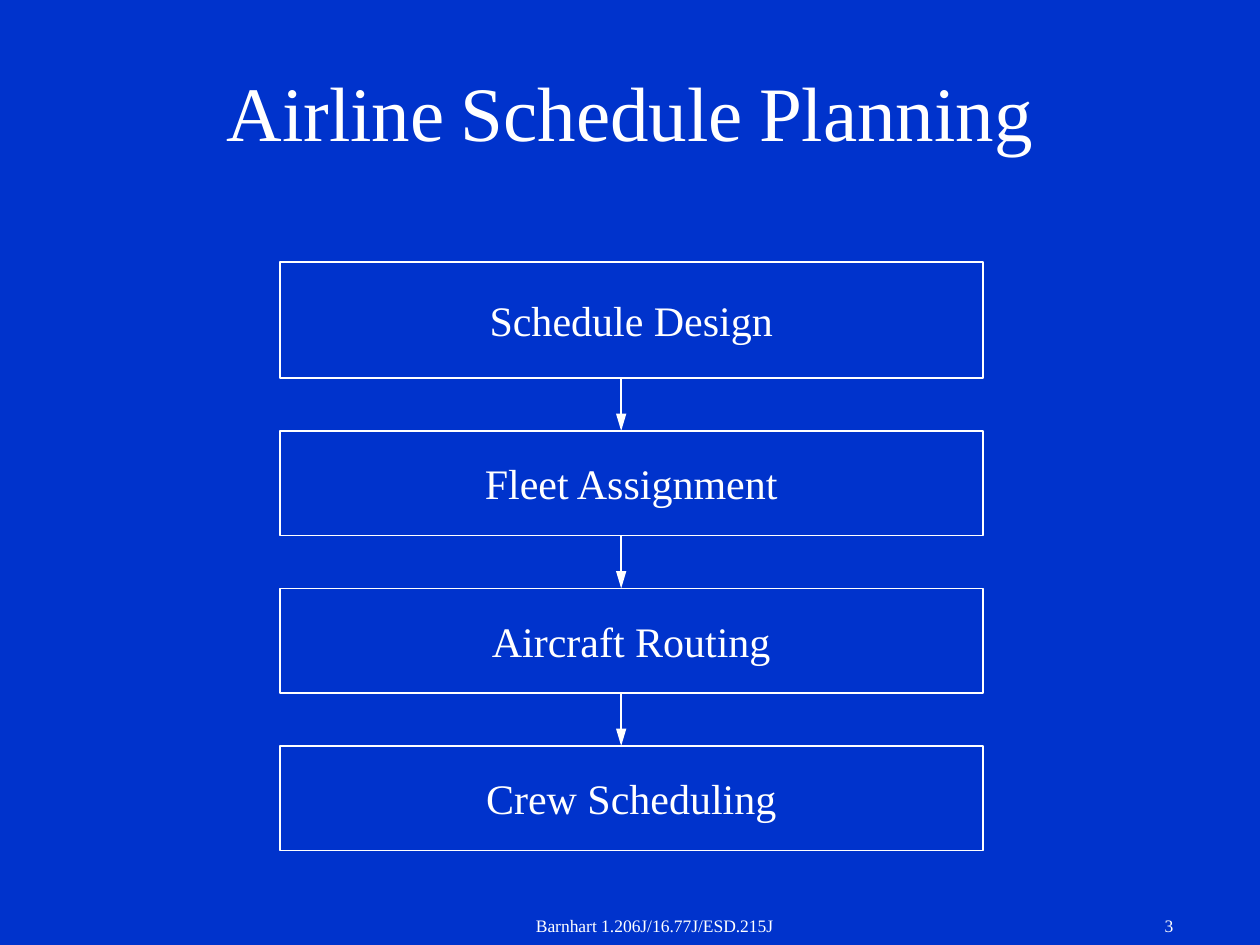
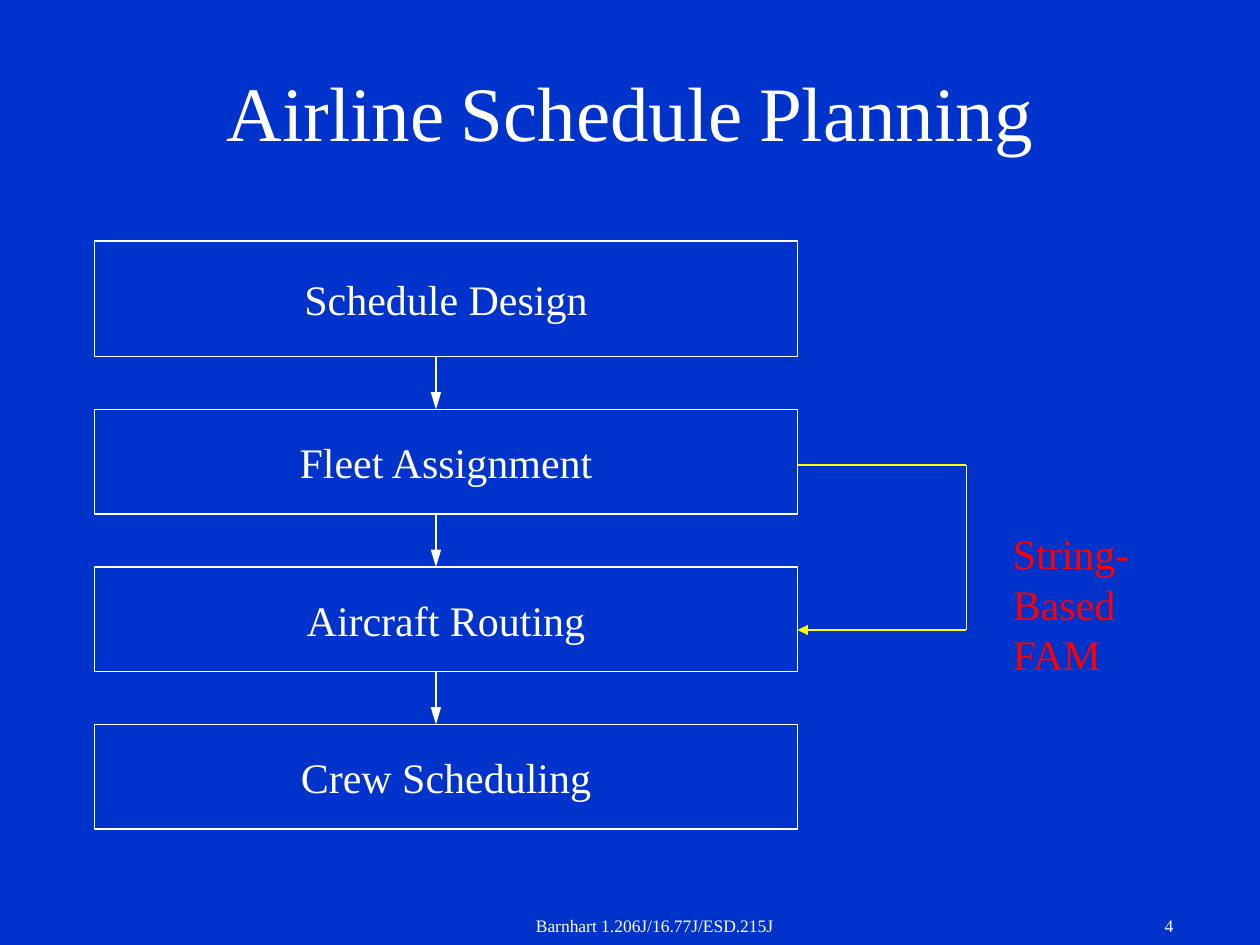
import itertools

import pptx
import pptx.dml.color
import pptx.enum.shapes
import pptx.enum.text
import pptx.oxml
import pptx.oxml.ns
import pptx.util
from pptx.util import Inches

TITLE_RUNS = [("Airline", 44), (" ", 36), ("Schedule", 44), (" ", 36), ("Planning", 44)]
FOOTER = "Barnhart 1.206J/16.77J/ESD.215J"
STEPS = [  # label, box height
    ("Schedule Design", 0.92),
    ("Fleet Assignment", 0.83),
    ("Aircraft Routing", 0.83),
    ("Crew Scheduling", 0.83),
]
FLOWS = [  # slide number, left and top of the flow
    (3, 2.22, 2.08),
    (4, 0.75, 1.91),
]
BYPASS_LABEL = ["String-", "Based", "FAM"]
BYPASS_POINTS = [(6.33, 3.69), (7.67, 3.69), (7.67, 5), (6.33, 5)]

BOX_WIDTH = 5.58
BOX_GAP = 0.42
ARROW_OFFSET = 2.71

FONT = "Times New Roman"
BLUE = pptx.dml.color.RGBColor(0x00, 0x33, 0xCC)
WHITE = pptx.dml.color.RGBColor(0xFF, 0xFF, 0xFF)
YELLOW = pptx.dml.color.RGBColor(0xFF, 0xFF, 0x00)
RED = pptx.dml.color.RGBColor(0xFF, 0x00, 0x00)

ALIGN = pptx.enum.text.PP_ALIGN
ANCHOR = pptx.enum.text.MSO_ANCHOR


def write_text(shape, paragraphs, size=24, color=WHITE, align=ALIGN.CENTER,
               anchor=ANCHOR.TOP, wrap=True, line_spacing=None):
    """Fill a shape; a paragraph is a string or a list of (text, size) runs."""
    frame = shape.text_frame
    frame.word_wrap = wrap
    frame.vertical_anchor = anchor
    for index, content in enumerate(paragraphs):
        paragraph = frame.add_paragraph() if index else frame.paragraphs[0]
        paragraph.alignment = align
        if line_spacing:
            paragraph.line_spacing = pptx.util.Pt(line_spacing)
        runs = [(content, size)] if isinstance(content, str) else content
        for text, run_size in runs:
            run = paragraph.add_run()
            run.text = text
            run.font.name = FONT
            run.font.size = pptx.util.Pt(run_size)
            run.font.color.rgb = color


def add_text(slide, left, top, width, height, paragraphs, **text_format):
    shape = slide.shapes.add_textbox(
        Inches(left), Inches(top), Inches(width), Inches(height))
    write_text(shape, paragraphs, **text_format)


def add_line(slide, start, end, color=WHITE, width=1, head_length="lg"):
    """Draw a straight line, with an arrowhead unless head_length is None."""
    connector = slide.shapes.add_connector(
        pptx.enum.shapes.MSO_CONNECTOR.STRAIGHT,
        *(Inches(value) for value in (*start, *end)))
    connector.line.color.rgb = color
    connector.line.width = pptx.util.Pt(width)
    if head_length:
        head = pptx.oxml.parse_xml(
            f'<a:tailEnd {pptx.oxml.ns.nsdecls("a")} type="triangle" len="{head_length}"/>')
        connector.line._get_or_add_ln().append(head)
    connector._element.spPr.append(
        pptx.oxml.parse_xml(f'<a:effectLst {pptx.oxml.ns.nsdecls("a")}/>'))


def add_base_slide(presentation, number):
    """Add a slide with the shared background, title and footer."""
    slide = presentation.slides.add_slide(presentation.slide_layouts[6])
    slide.background.fill.solid()
    slide.background.fill.fore_color.rgb = BLUE
    add_text(slide, 0.75, 0.25, 8.5, 1.25, [TITLE_RUNS], anchor=ANCHOR.MIDDLE)
    add_text(slide, 3.61, 7.21, 3.17, 0.29, [FOOTER], size=10)
    add_text(slide, 7.33, 7.21, 2.08, 0.29, [str(number)], size=10, align=ALIGN.RIGHT)
    return slide


def add_flow(slide, left, top):
    """Stack the step boxes downward, with an arrow in each gap."""
    for index, (label, height) in enumerate(STEPS):
        if index:
            arrow_x = left + ARROW_OFFSET
            add_line(slide, (arrow_x, top - BOX_GAP), (arrow_x, top))
        box = slide.shapes.add_shape(
            pptx.enum.shapes.MSO_SHAPE.RECTANGLE,
            Inches(left), Inches(top), Inches(BOX_WIDTH), Inches(height))
        box.shadow.inherit = False
        box.fill.background()
        box.line.color.rgb = WHITE
        box.line.width = pptx.util.Pt(1)
        write_text(box, [label], anchor=ANCHOR.MIDDLE, wrap=False)
        top += height + BOX_GAP


def add_bypass(slide):
    """Link fleet assignment to aircraft routing around the right side."""
    for start, end in itertools.pairwise(BYPASS_POINTS):
        add_line(slide, start, end, color=YELLOW, width=0.75,
                 head_length="med" if end == BYPASS_POINTS[-1] else None)
    add_text(slide, 7.94, 4.14, 1.2, 1.3, BYPASS_LABEL, color=RED,
             align=ALIGN.LEFT, line_spacing=28.8)


def main():
    presentation = pptx.Presentation()
    presentation.slide_width = Inches(10)
    presentation.slide_height = Inches(7.5)
    for number, left, top in FLOWS:
        slide = add_base_slide(presentation, number)
        add_flow(slide, left, top)
    add_bypass(slide)
    presentation.save("out.pptx")


if __name__ == "__main__":
    main()
